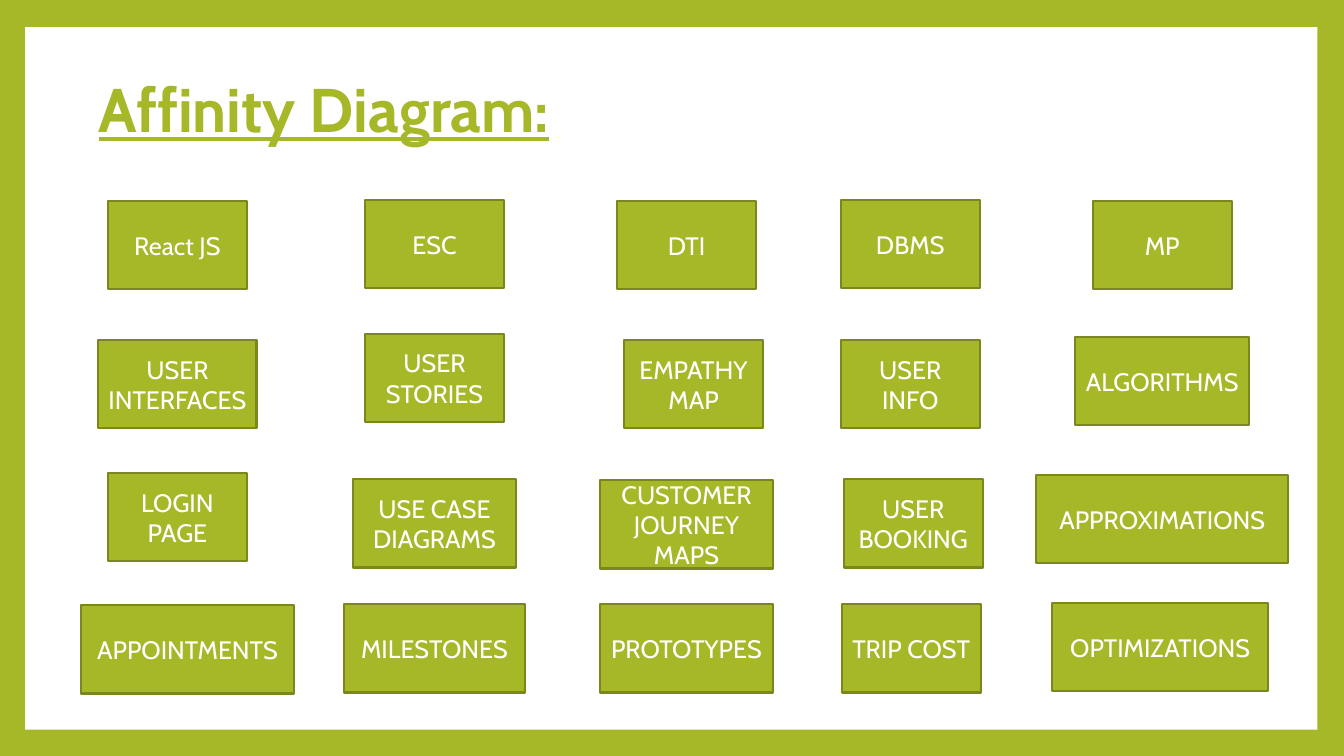
import pptx
import pptx.dml.color
import pptx.enum.shapes
import pptx.enum.text
import pptx.util

CELL = 0.1
SLIDE_SIZE = (133.33, 75)
PANEL_BOX = (2.5, 2.7, 128.2, 69.7)
TITLE_BOX = (8.8, 3.8, 108, 14.8)
CARDS_BOX = (8.1, 19.9, 119.7, 48.9)
GREEN, DARK_GREEN, WHITE = "A6B727", "7B871D", "FFFFFF"
CARD_WIDTH, CARD_HEIGHT = 13.8, 8.8
ROW_TOPS = (0, 13.8, 27.6, 40)

# Each column: centre, then cards as (label, width, shift right, shift down).
COLUMNS = (
    (9.5, (("React JS", CARD_WIDTH, 0, 0),
           ("USER INTERFACES", 15.7, 0, 0),
           ("LOGIN PAGE", CARD_WIDTH, 0, -0.6),
           ("APPOINTMENTS", 21.1, 1, 0.1))),
    (35, (("ESC", CARD_WIDTH, 0, -0.1),
          ("USER STORIES", CARD_WIDTH, 0, -0.6),
          ("USE CASE DIAGRAMS", 16.2, 0, 0),
          ("MILESTONES", 17.9, 0, 0))),
    (60, (("DTI", CARD_WIDTH, 0, 0),
          ("EMPATHY MAP", CARD_WIDTH, 0.7, 0),
          ("CUSTOMER JOURNEY MAPS", 17.2, 0, 0.1),
          ("PROTOTYPES", 17.2, 0, 0))),
    (82.2, (("DBMS", CARD_WIDTH, 0, -0.1),
            ("USER INFO", CARD_WIDTH, 0, 0),
            ("USER BOOKING", CARD_WIDTH, 0.3, 0),
            ("TRIP COST", CARD_WIDTH, 0.1, 0))),
    (107.2, (("MP", CARD_WIDTH, 0, 0),
             ("ALGORITHMS", 17.3, 0, -0.3),
             ("APPROXIMATIONS", 25, 0, -0.4),
             ("OPTIMIZATIONS", 21.4, -0.2, -0.1))),
)

TITLE_FORMAT = {"name": "Cabin", "size": pptx.util.Pt(44), "bold": True, "underline": True}
CARD_FORMAT = {"name": "Cabin", "size": pptx.util.Pt(18)}


def color(value):
    """Turn a hex string into a colour."""
    return pptx.dml.color.RGBColor.from_string(value)


def lengths(box):
    """Turn grid cells into slide lengths."""
    return [pptx.util.Inches(cells * CELL) for cells in box]


def write_text(shape, text, text_color, font_format, alignment):
    """Write one vertically centred paragraph in a shape."""
    frame = shape.text_frame
    frame.word_wrap = True
    frame.vertical_anchor = pptx.enum.text.MSO_ANCHOR.MIDDLE
    paragraph = frame.paragraphs[0]
    paragraph.alignment = alignment
    run = paragraph.add_run()
    run.text = text
    for name, value in font_format.items():
        setattr(run.font, name, value)
    run.font.color.rgb = color(text_color)
    return paragraph


def add_rectangle(slide, box, fill):
    """Add a plain filled rectangle."""
    shape = slide.shapes.add_shape(pptx.enum.shapes.MSO_SHAPE.RECTANGLE, *lengths(box))
    shape.shadow.inherit = False
    shape.fill.solid()
    shape.fill.fore_color.rgb = color(fill)
    shape.line.fill.background()
    return shape


def add_frame(slide, box):
    """Colour the background and lay the white panel on it."""
    slide.background.fill.solid()
    slide.background.fill.fore_color.rgb = color(GREEN)
    add_rectangle(slide, box, WHITE)


def add_title(slide, box, text):
    """Add the underlined slide title."""
    shape = slide.shapes.add_textbox(*lengths(box))
    paragraph = write_text(shape, text, GREEN, TITLE_FORMAT, pptx.enum.text.PP_ALIGN.LEFT)
    paragraph.line_spacing = 0.9


def add_card(slide, box, label):
    """Add one outlined card with a centred label."""
    shape = add_rectangle(slide, box, GREEN)
    shape.line.color.rgb = color(DARK_GREEN)
    shape.line.width = pptx.util.Pt(1.5)
    write_text(shape, label, WHITE, CARD_FORMAT, pptx.enum.text.PP_ALIGN.CENTER)


def add_cards(slide, box, columns):
    """Centre each column of cards on its axis within the box."""
    left, top = box[:2]
    for centre, cards in columns:
        for row_top, (label, width, right, down) in zip(ROW_TOPS, cards):
            card_left = left + centre + right - width / 2
            add_card(slide, (card_left, top + row_top + down, width, CARD_HEIGHT), label)


def main():
    """Build and save the affinity diagram slide."""
    presentation = pptx.Presentation()
    presentation.slide_width, presentation.slide_height = lengths(SLIDE_SIZE)
    slide = presentation.slides.add_slide(presentation.slide_layouts[6])
    add_frame(slide, PANEL_BOX)
    add_title(slide, TITLE_BOX, "Affinity Diagram:")
    add_cards(slide, CARDS_BOX, COLUMNS)
    presentation.save("out.pptx")


if __name__ == "__main__":
    main()
